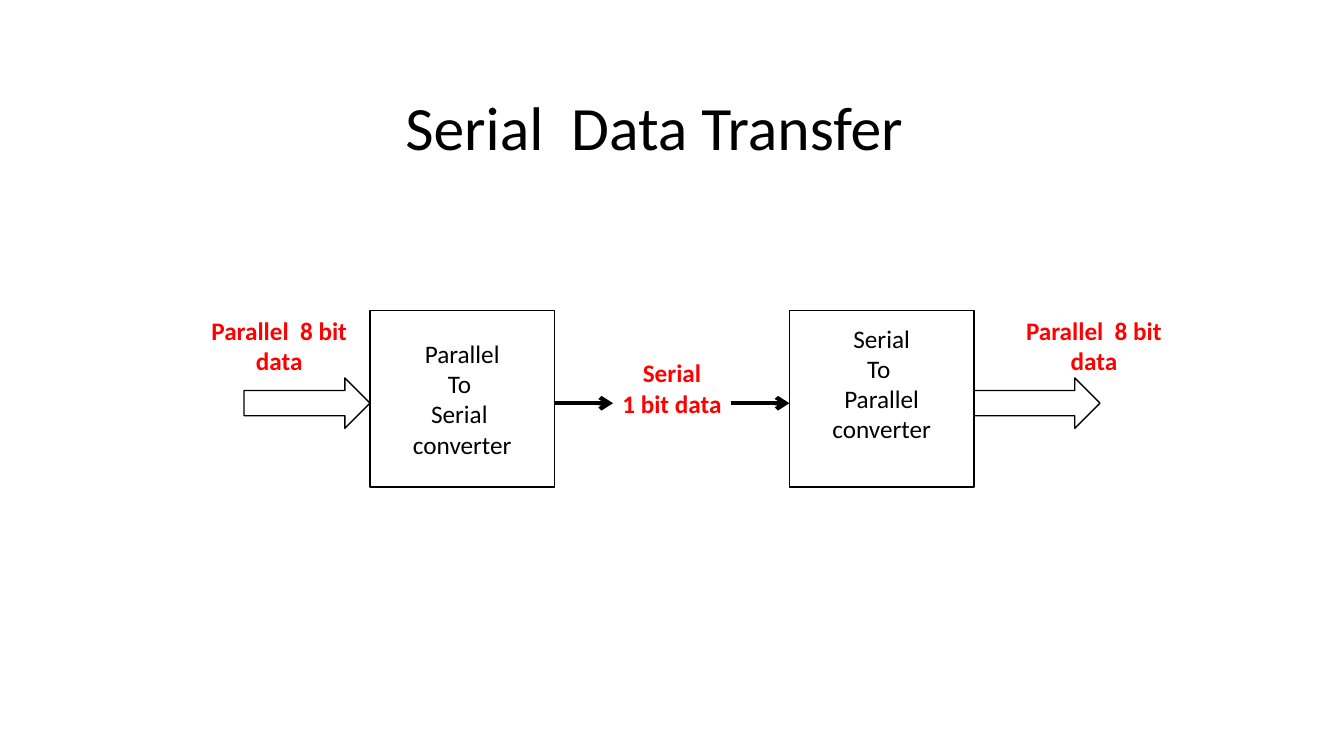
"""Build the Serial Data Transfer block diagram slide."""
from lxml import etree
from pptx import Presentation
from pptx.dml.color import RGBColor
from pptx.enum.shapes import MSO_CONNECTOR, MSO_SHAPE
from pptx.enum.text import MSO_ANCHOR, PP_ALIGN
from pptx.oxml.ns import qn
from pptx.util import Inches, Pt

RECTANGLE, BLOCK_ARROW = MSO_SHAPE.RECTANGLE, MSO_SHAPE.RIGHT_ARROW
STRAIGHT = MSO_CONNECTOR.STRAIGHT
TOP, MIDDLE = MSO_ANCHOR.TOP, MSO_ANCHOR.MIDDLE
LEFT, CENTER = PP_ALIGN.LEFT, PP_ALIGN.CENTER

COLORS = {"ink": "000000", "label": "FF0000"}
FONT = "Calibri"
TITLE = "Serial  Data Transfer"
CONVERTERS = [
    (3.67, ["Parallel", "To ", "Serial ", "converter"], 0.05),
    (7.83, ["Serial", "To ", "Parallel", "converter"], 0.35),
]
PARALLEL_LABEL = ["Parallel  8 bit", "data"]
LABELS = [
    (2, 3.08, 1.54, PARALLEL_LABEL),
    (6.08, 3.5, 1.17, ["Serial", "1 bit data"]),
    (10.08, 3.08, 1.54, PARALLEL_LABEL),
]
BOX_TOP, BOX_WIDTH, BOX_HEIGHT = 3.08, 1.83, 1.75
BUS_WIDTH, BUS_HEIGHT = 1.25, 0.5
SIGNAL_Y, SIGNAL_LENGTH = 4, 0.58


def color(name):
    return RGBColor.from_string(COLORS[name])


def write(frame, lines, size, ink, align, bold=False):
    frame.text = "\n".join(lines)
    frame.word_wrap = True
    for paragraph in frame.paragraphs:
        paragraph.alignment = align
        font = paragraph.font
        font.name, font.size, font.bold = FONT, Pt(size), bold
        font.color.rgb = color(ink)


def add_outline(slide, kind, left, top, width, height):
    outline = slide.shapes.add_shape(
        kind, Inches(left), Inches(top), Inches(width), Inches(height))
    outline.shadow.inherit = False
    outline.fill.background()
    outline.line.color.rgb = color("ink")
    outline.line.width = Pt(1)
    return outline


def add_signal(slide, start):
    signal = slide.shapes.add_connector(
        STRAIGHT, Inches(start), Inches(SIGNAL_Y),
        Inches(start + SIGNAL_LENGTH), Inches(SIGNAL_Y))
    signal.line.color.rgb = color("ink")
    signal.line.width = Pt(3)
    etree.SubElement(signal.line._get_or_add_ln(), qn("a:tailEnd"), type="arrow")
    etree.SubElement(signal._element.spPr, qn("a:effectLst"))


def main():
    deck = Presentation()
    deck.slide_width, deck.slide_height = Inches(13.33), Inches(7.5)
    slide = deck.slides.add_slide(deck.slide_layouts[5])

    title = slide.shapes.title
    title.left, title.top = Inches(3.92), Inches(0.83)
    title.width, title.height = Inches(5.5), Inches(0.84)
    title.text_frame.vertical_anchor = TOP
    write(title.text_frame, [TITLE], 44, "ink", LEFT)

    for left, lines, bottom_inset in CONVERTERS:
        converter = add_outline(slide, RECTANGLE, left, BOX_TOP, BOX_WIDTH, BOX_HEIGHT)
        frame = converter.text_frame
        frame.vertical_anchor = MIDDLE
        frame.margin_bottom = Inches(bottom_inset)
        write(frame, lines, 18, "ink", CENTER)

    sender, receiver = (left for left, _, _ in CONVERTERS)
    for left in (sender - BUS_WIDTH, receiver + BOX_WIDTH):
        add_outline(slide, BLOCK_ARROW, left, SIGNAL_Y - BUS_HEIGHT / 2,
                    BUS_WIDTH, BUS_HEIGHT)
    for start in (sender + BOX_WIDTH, receiver - SIGNAL_LENGTH):
        add_signal(slide, start)

    for left, top, width, lines in LABELS:
        label = slide.shapes.add_textbox(
            Inches(left), Inches(top), Inches(width), Inches(0.71))
        frame = label.text_frame
        frame.margin_left = frame.margin_right = 0
        write(frame, lines, 18, "label", CENTER, bold=True)

    deck.save("out.pptx")


if __name__ == "__main__":
    main()
